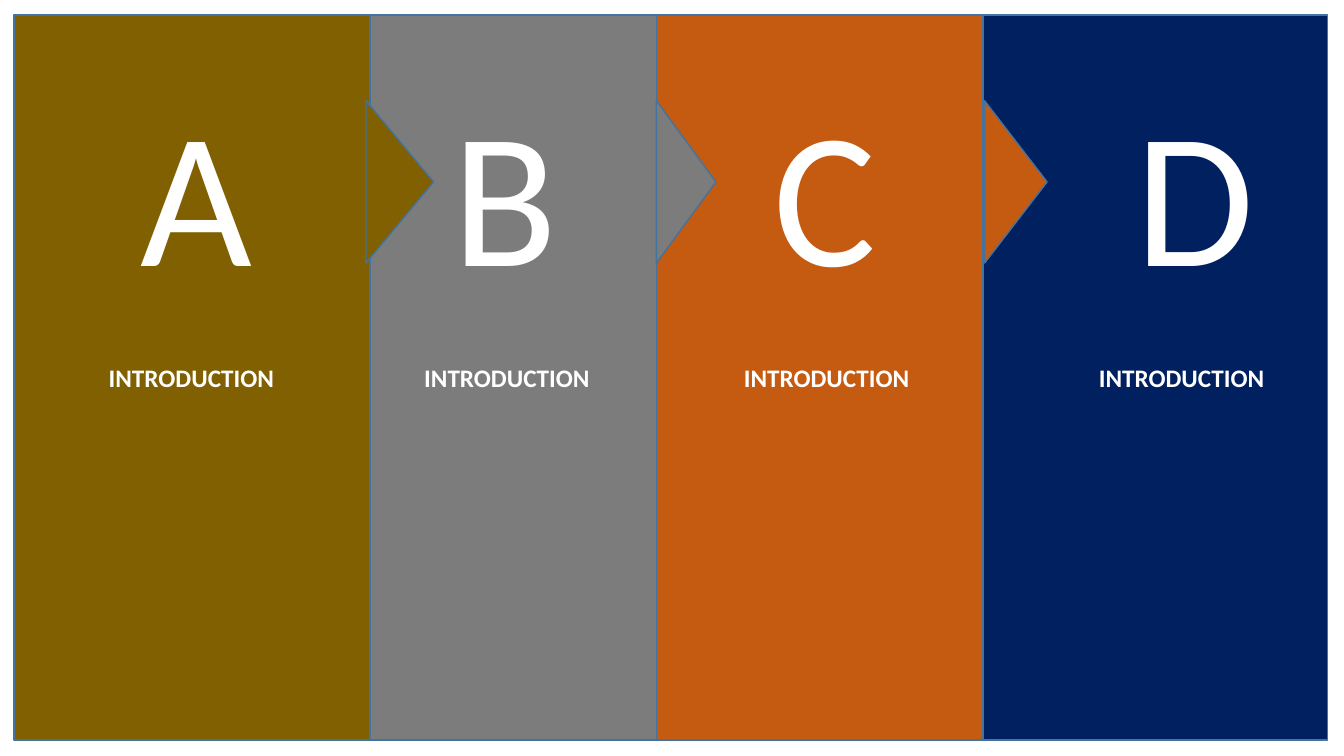
"""Build a slide of four coloured panels, lettered A to D, joined by pointers."""
import pptx
import pptx.dml.color
import pptx.enum.shapes
import pptx.enum.text
import pptx.util

KIND = pptx.enum.shapes.MSO_SHAPE
WIDE = pptx.util.Inches(13.33)
HIGH = pptx.util.Inches(7.5)
EDGE = "43739E"
WHITE = "FFFFFF"

PANELS = [
    ("D", "002060", (71.94, 26.86), (83.72, 9.83), 81.02, None),
    ("C", "C55A11", (48.69, 24.46), (56.79, 8.93), 54.61, (73.26, 4.65)),
    ("B", "7C7C7C", (25.21, 23.63), (32.93, 8.63), 30.83, (48.84, 4.43)),
    ("A", "806000", (1.05, 26.48), (9.68, 9.68), 7.35, (27.23, 5.03)),
]


def across(share):
    return int(WIDE * share / 100)


def down(share):
    return int(HIGH * share / 100)


def paint(part, color):
    part.solid()
    part.fore_color.rgb = pptx.dml.color.RGBColor.from_string(color)


def shape(slide, kind, box, color):
    item = slide.shapes.add_shape(kind, *box)
    item.shadow.inherit = False
    paint(item.fill, color)
    paint(item.line.fill, EDGE)
    item.line.width = pptx.util.Pt(1)
    return item


def panel(slide, span, color):
    left, width = span
    box = across(left), down(2), across(width), down(95.87)
    shape(slide, KIND.RECTANGLE, box, color)


def pointer(slide, span, color):
    left, depth = map(across, span)
    base = down(21.47)
    box = left + (depth - base) // 2, down(24.07) - depth // 2, base, depth
    shape(slide, KIND.ISOSCELES_TRIANGLE, box, color).rotation = 90


def label(slide, words, span, rows, size, color, bold=False):
    left, width = span
    top, height = rows
    item = slide.shapes.add_textbox(
        across(left), down(top), across(width), down(height))
    paint(item.fill, color)
    frame = item.text_frame
    frame.word_wrap = False
    frame.auto_size = pptx.enum.text.MSO_AUTO_SIZE.SHAPE_TO_FIT_TEXT
    line = frame.paragraphs[0]
    line.text = words
    line.alignment = pptx.enum.text.PP_ALIGN.LEFT
    line.font.name = "Calibri"
    line.font.size = pptx.util.Pt(size)
    line.font.bold = bold
    paint(line.font.fill, WHITE)


def main():
    deck = pptx.Presentation()
    deck.slide_width, deck.slide_height = WIDE, HIGH
    slide = deck.slides.add_slide(deck.slide_layouts[6])
    for letter, color, span, place, start, tip in PANELS:
        panel(slide, span, color)
        if tip:
            pointer(slide, tip, color)
        label(slide, letter, place, (9.07, 32.27), 138, color)
        label(slide, "INTRODUCTION", (start, 14), (47.2, 5.33), 18, color, True)
    deck.save("out.pptx")


if __name__ == "__main__":
    main()
